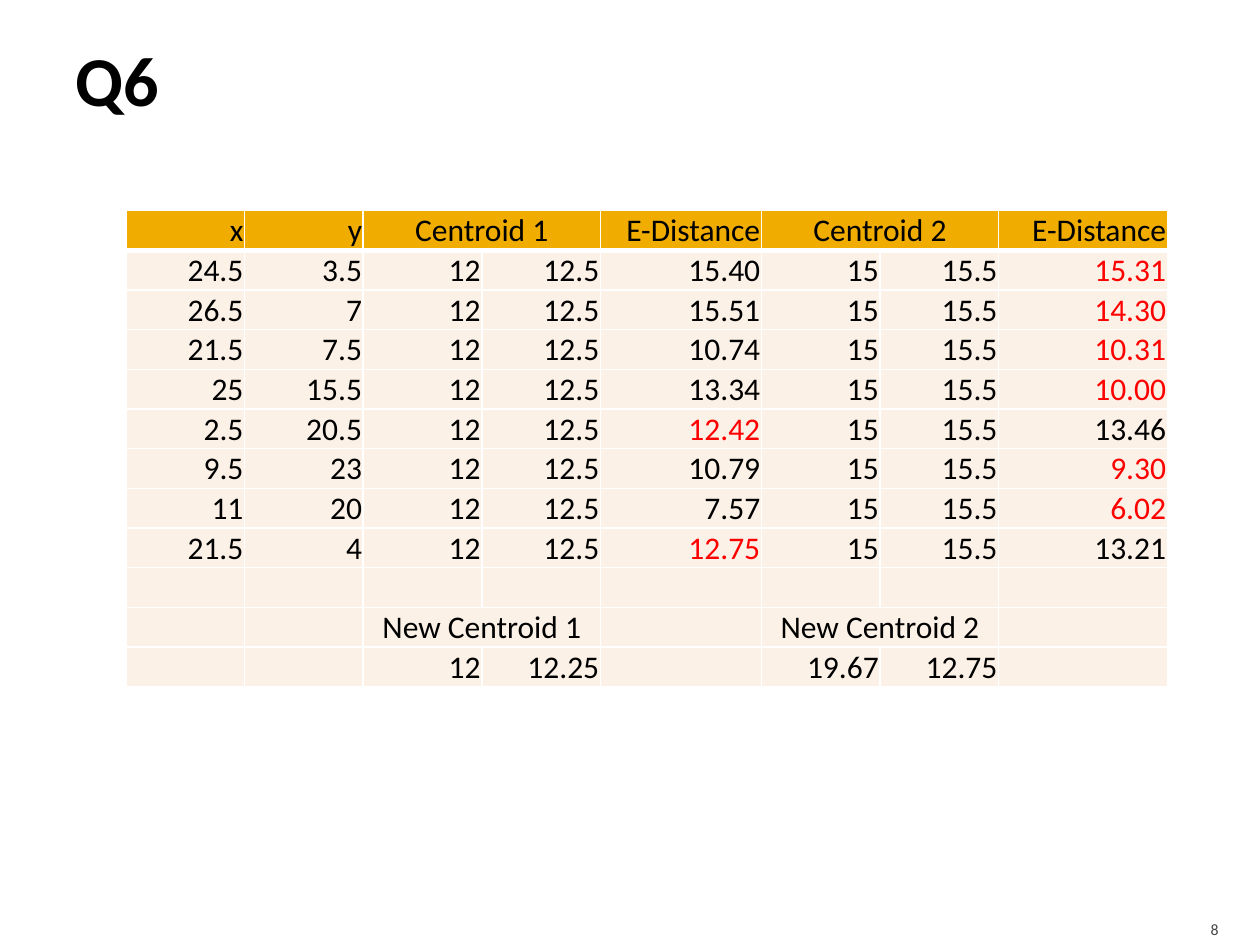
from lxml import etree
from pptx import Presentation
from pptx.dml.color import RGBColor
from pptx.enum.text import MSO_ANCHOR, PP_ALIGN
from pptx.oxml.ns import qn
from pptx.util import Pt

LEFT, MID, RIGHT = PP_ALIGN.LEFT, PP_ALIGN.CENTER, PP_ALIGN.RIGHT
CENTER, BOTTOM = MSO_ANCHOR.MIDDLE, MSO_ANCHOR.BOTTOM
BLACK = RGBColor(0x00, 0x00, 0x00)
WHITE = RGBColor(0xFF, 0xFF, 0xFF)
GRAY = RGBColor(0x45, 0x45, 0x45)
RED = RGBColor(0xFF, 0x00, 0x00)
GOLD = RGBColor(0xF0, 0xAD, 0x00)
CREAM = RGBColor(0xFC, 0xF1, 0xE7)

TITLE = "Q6"
NUMBER = "8"
HEAD = ["x", "y", "Centroid 1", "", "E-Distance", "Centroid 2", "", "E-Distance"]
FIRST = ["12", "12.5"]
SECOND = ["15", "15.5"]
POINTS = [
    ("24.5", "3.5", "15.40", "15.31"),
    ("26.5", "7", "15.51", "14.30"),
    ("21.5", "7.5", "10.74", "10.31"),
    ("25", "15.5", "13.34", "10.00"),
    ("2.5", "20.5", "12.42", "13.46"),
    ("9.5", "23", "10.79", "9.30"),
    ("11", "20", "7.57", "6.02"),
    ("21.5", "4", "12.75", "13.21"),
]
TAIL = [
    [""] * 8,
    ["", "", "New Centroid 1", "", "", "New Centroid 2", "", ""],
    ["", "", "12", "12.25", "", "19.67", "12.75", ""],
]
WIDTHS = [67.8, 67.8, 67.8, 67.8, 92, 67.8, 67.8, 96.4]
HIGH = 22.4
NEAR, FAR = 4, 7
PAIRS = (2, 5)


def write(para, text, size=18, color=BLACK, bold=False, align=RIGHT):
    para.alignment = align
    if text:
        run = para.add_run()
        run.text = text
        font = run.font
        font.name, font.size, font.bold = "Calibri", Pt(size), bold
        font.color.rgb = color


def inset(frame, left, top, right, bottom):
    frame.margin_left, frame.margin_top = Pt(left), Pt(top)
    frame.margin_right, frame.margin_bottom = Pt(right), Pt(bottom)


def border(cell, **widths):
    props = cell._tc.get_or_add_tcPr()
    for side, width in widths.items():
        line = etree.SubElement(props, qn("a:ln" + side), w=str(Pt(width)))
        fill = etree.SubElement(line, qn("a:solidFill"))
        etree.SubElement(fill, qn("a:srgbClr"), val=str(WHITE))


def place(shape, left, top, width, height):
    shape.left, shape.top = Pt(left), Pt(top)
    shape.width, shape.height = Pt(width), Pt(height)


def add_grid(slide):
    body = [[x, y, *FIRST, d1, *SECOND, d2] for x, y, d1, d2 in POINTS]
    rows = [HEAD, *body, *TAIL]
    grid = slide.shapes.add_table(
        len(rows), len(WIDTHS), Pt(72), Pt(120.3),
        Pt(sum(WIDTHS)), Pt(HIGH * len(rows))).table
    grid.horz_banding = False
    for col, width in zip(grid.columns, WIDTHS):
        col.width = Pt(width)
    for r, row in enumerate(rows):
        grid.rows[r].height = Pt(HIGH)
        best = ""
        if row in body:
            best = min(row[NEAR], row[FAR], key=float)
        for c, text in enumerate(row):
            cell = grid.cell(r, c)
            inset(cell, 0.7, 0.7, 0.7, 0)
            cell.vertical_anchor = BOTTOM
            border(cell, L=1, R=1, T=3 if r == 1 else 1, B=3 if r == 0 else 1)
            cell.fill.solid()
            cell.fill.fore_color.rgb = CREAM if r else GOLD
            label = c in PAIRS and "Centroid" in text
            if label:
                cell.merge(grid.cell(r, c + 1))
            hit = c in (NEAR, FAR) and text and text == best
            write(cell.text_frame.paragraphs[0], text,
                  color=RED if hit else BLACK, align=MID if label else RIGHT)


def main():
    deck = Presentation()
    deck.slide_width, deck.slide_height = Pt(720), Pt(540)
    slide = deck.slides.add_slide(deck.slide_layouts[5])

    title = slide.shapes.title
    place(title, 36, 5.8, 648, 77.8)
    frame = title.text_frame
    frame.vertical_anchor = CENTER
    inset(frame, 7.2, 3.6, 3.6, 3.6)
    write(frame.paragraphs[0], TITLE, size=40, bold=True, align=LEFT)

    add_grid(slide)

    note = slide.shapes.add_textbox(Pt(645.8), Pt(518.4), Pt(57.6), Pt(21.6))
    frame = note.text_frame
    frame.word_wrap = True
    frame.vertical_anchor = CENTER
    inset(frame, 7.2, 3.6, 7.2, 0)
    write(frame.paragraphs[0], NUMBER, size=9, color=GRAY)

    deck.save("out.pptx")


if __name__ == "__main__":
    main()
